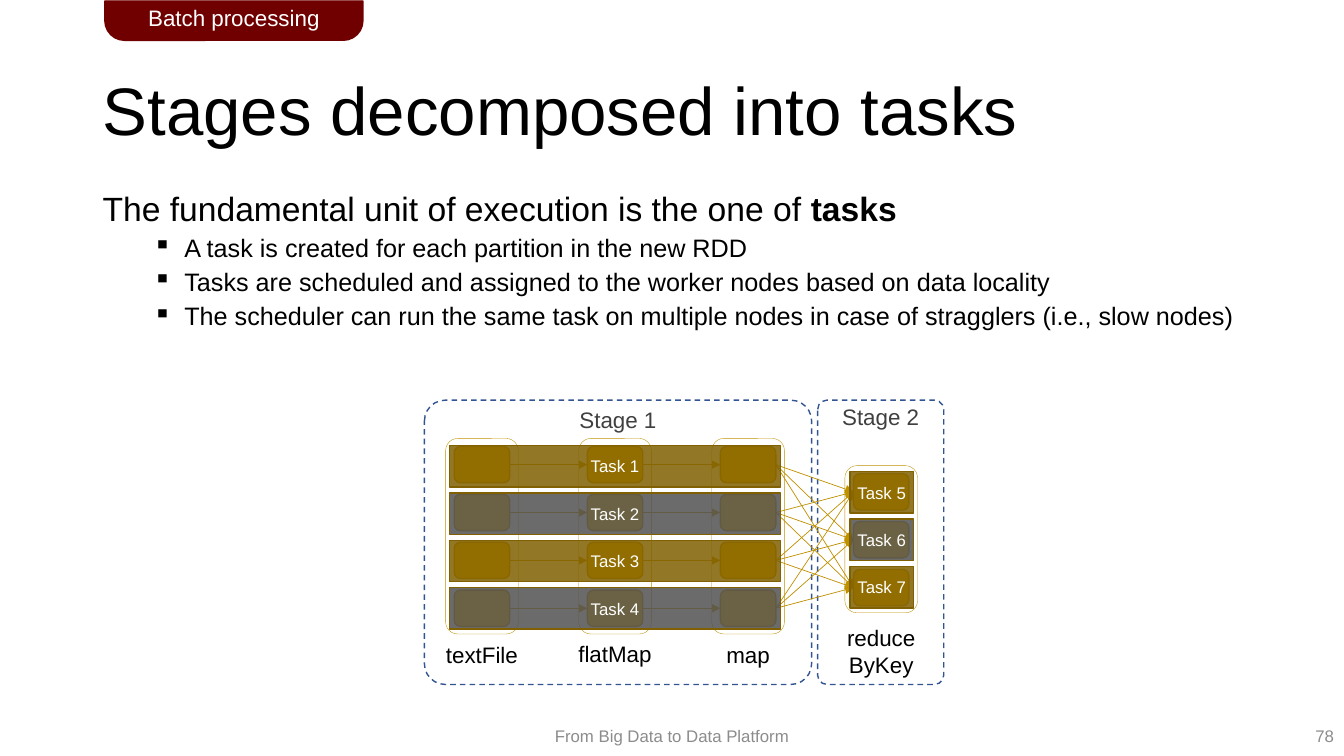
from itertools import product

from lxml import etree
from pptx import Presentation
from pptx import util as u
from pptx.dml.color import RGBColor
from pptx.enum import dml, shapes, text
from pptx.oxml import ns

BLACK = RGBColor(0x00, 0x00, 0x00)
WHITE = RGBColor(0xFF, 0xFF, 0xFF)
GREY = RGBColor(0x8C, 0x8C, 0x8C)
DARK = RGBColor(0x40, 0x40, 0x40)
SLATE = RGBColor(0x52, 0x52, 0x52)
BLUE = RGBColor(0x32, 0x54, 0x91)
GOLD = RGBColor(0xFF, 0xC0, 0x00)
AMBER = RGBColor(0xBF, 0x90, 0x00)
EDGE = RGBColor(0xBD, 0x8E, 0x00)
OLIVE = RGBColor(0x80, 0x60, 0x00)
MAROON = RGBColor(0x70, 0x00, 0x00)

ROUND = shapes.MSO_SHAPE.ROUNDED_RECTANGLE
TAB = shapes.MSO_SHAPE.ROUND_2_SAME_RECTANGLE
LEFT, MID, RIGHT = text.PP_ALIGN.LEFT, text.PP_ALIGN.CENTER, text.PP_ALIGN.RIGHT
TOP, CENTER = text.MSO_ANCHOR.TOP, text.MSO_ANCHOR.MIDDLE


class Deck:
    """Holds the style and the current slide."""

    face = "Arial"

    def __init__(self):
        self.prs = Presentation()
        self.prs.slide_width = u.Inches(13.33)
        self.prs.slide_height = u.Inches(7.5)
        self.slide = self.prs.slides.add_slide(self.prs.slide_layouts[6])

    def style(self, para, size, color, align=LEFT):
        para.alignment = align
        para.font.name = self.face
        para.font.size = u.Pt(size)
        para.font.color.rgb = color

    def text(self, box, words, size, color=BLACK, align=LEFT, anchor=TOP,
             wrap=True, lead=None):
        left, top, width, height = map(u.Inches, box)
        frame = self.slide.shapes.add_textbox(left, top, width, height).text_frame
        frame.word_wrap = wrap
        frame.vertical_anchor = anchor
        para = frame.paragraphs[0]
        para.text = words
        para.line_spacing = lead
        self.style(para, size, color, align)
        return frame

    def bullet(self, frame, words):
        para = frame.add_paragraph()
        para.text = words
        para.level = 1
        props = para._p.get_or_add_pPr()
        props.set("marL", str(u.Inches(0.81)))
        props.set("indent", str(u.Inches(-0.31)))
        etree.SubElement(props, ns.qn("a:buChar")).set("char", "▪")
        para.line_spacing = 0.9
        para.space_before = u.Pt(5)
        self.style(para, 18, BLACK)

    def shape(self, box, line, weight=1, fill=None, alpha=None, kind=ROUND,
              adjust=(), dash=False):
        item = self.slide.shapes.add_shape(kind, *map(u.Inches, box))
        item.shadow.inherit = False
        for i, value in enumerate(adjust):
            item.adjustments[i] = value
        item.line.color.rgb = line
        item.line.width = u.Pt(weight)
        if dash:
            item.line.dash_style = dml.MSO_LINE.DASH
        if fill is None:
            item.fill.background()
        else:
            item.fill.solid()
            item.fill.fore_color.rgb = fill
        if alpha:
            shade = item.fill._xPr.find(".//" + ns.qn("a:srgbClr"))
            etree.SubElement(shade, ns.qn("a:alpha")).set("val", str(alpha * 1000))
        return item

    def label(self, item, words, size, color, anchor=CENTER, side=0.1, top=0.05):
        frame = item.text_frame
        frame.word_wrap = True
        frame.vertical_anchor = anchor
        frame.margin_left = frame.margin_right = u.Inches(side)
        frame.margin_top = u.Inches(top)
        frame.paragraphs[0].text = words
        self.style(frame.paragraphs[0], size, color, MID)

    def arrow(self, start, end):
        link = self.slide.shapes.add_connector(
            shapes.MSO_CONNECTOR.STRAIGHT, 0, 0, 0, 0)
        link.begin_connect(start, 3)
        link.end_connect(end, 1)
        link.line.color.rgb = AMBER
        link.line.width = u.Pt(0.5)
        stroke = link.line._get_or_add_ln()
        etree.SubElement(stroke, ns.qn("a:tailEnd")).set("type", "triangle")
        etree.SubElement(link._element.spPr, ns.qn("a:effectLst"))

    def column(self, left, top, count):
        """Frame with one box per partition; returns the boxes."""
        self.shape((left, top, 0.72, 0.48 * count + 0.02), AMBER, 0.25)
        return [self.shape((left + 0.085, top + 0.08 + 0.475 * row, 0.55, 0.36),
                           EDGE, fill=GOLD) for row in range(count)]

    def tasks(self, left, top, width, first, count):
        for row in range(count):
            bar = self.shape((left, top + 0.47 * row, width, 0.41), OLIVE,
                             fill=SLATE if row % 2 else OLIVE, alpha=85,
                             adjust=[0])
            self.label(bar, f"Task {first + row}", 12, WHITE, side=0.02)


def main():
    deck = Deck()

    # Footer, title and body
    deck.text((4.79, 7.1, 3.75, 0.4), "From Big Data to Data Platform", 12,
              GREY, MID, CENTER)
    deck.text((0.92, 0.4, 11.5, 1.45), "Stages decomposed into tasks", 48,
              anchor=CENTER, lead=0.9)
    body = deck.text((0.92, 1.86, 11.5, 1.6),
                     "The fundamental unit of execution is the one of ", 24,
                     lead=0.9)
    bold = body.paragraphs[0].add_run()
    bold.text = "tasks"
    bold.font.bold = True
    for words in (
        "A task is created for each partition in the new RDD",
        "Tasks are scheduled and assigned to the worker nodes based on data locality",
        "The scheduler can run the same task on multiple nodes in case of "
        "stragglers (i.e., slow nodes)",
    ):
        deck.bullet(body, words)
    deck.text((10.33, 7.1, 3, 0.4), "78", 12, GREY, RIGHT, CENTER)

    # Stages
    for name, left, width in (("Stage 1", 4.21, 3.84), ("Stage 2", 8.11, 1.25)):
        stage = deck.shape((left, 3.97, width, 2.82), BLUE, adjust=[0.073],
                           dash=True)
        deck.label(stage, name, 16, DARK, TOP, top=0)

    # Partitions of each operation
    lefts = [4.42 + 1.32 * i for i in range(4)]
    read, flat, pairs = [deck.column(left, 4.35, 4) for left in lefts[:3]]
    merged = deck.column(lefts[3], 4.62, 3)

    # Data flow: one to one, then the shuffle
    for start, end in [*zip(read, flat), *zip(flat, pairs),
                       *product(pairs, merged)]:
        deck.arrow(start, end)

    # Operation names
    names = (("textFile", 6.31, 0.37), ("flatMap", 6.3, 0.37),
             ("map", 6.31, 0.37), ("reduce\nByKey", 6.14, 0.64))
    for left, (name, top, height) in zip(lefts, names):
        deck.text((left - 0.11, top, 0.94, height), name, 16, align=MID,
                  wrap=False)

    # Tasks
    deck.tasks(4.46, 4.42, 3.28, 1, 4)
    deck.tasks(8.43, 4.68, 0.63, 5, 3)

    # Section tab
    tab = deck.shape((1.04, 0.01, 2.56, 0.39), MAROON, fill=MAROON, kind=TAB,
                     adjust=[0, 0.5])
    deck.label(tab, "Batch processing", 16, WHITE)

    deck.prs.save("out.pptx")


if __name__ == "__main__":
    main()
